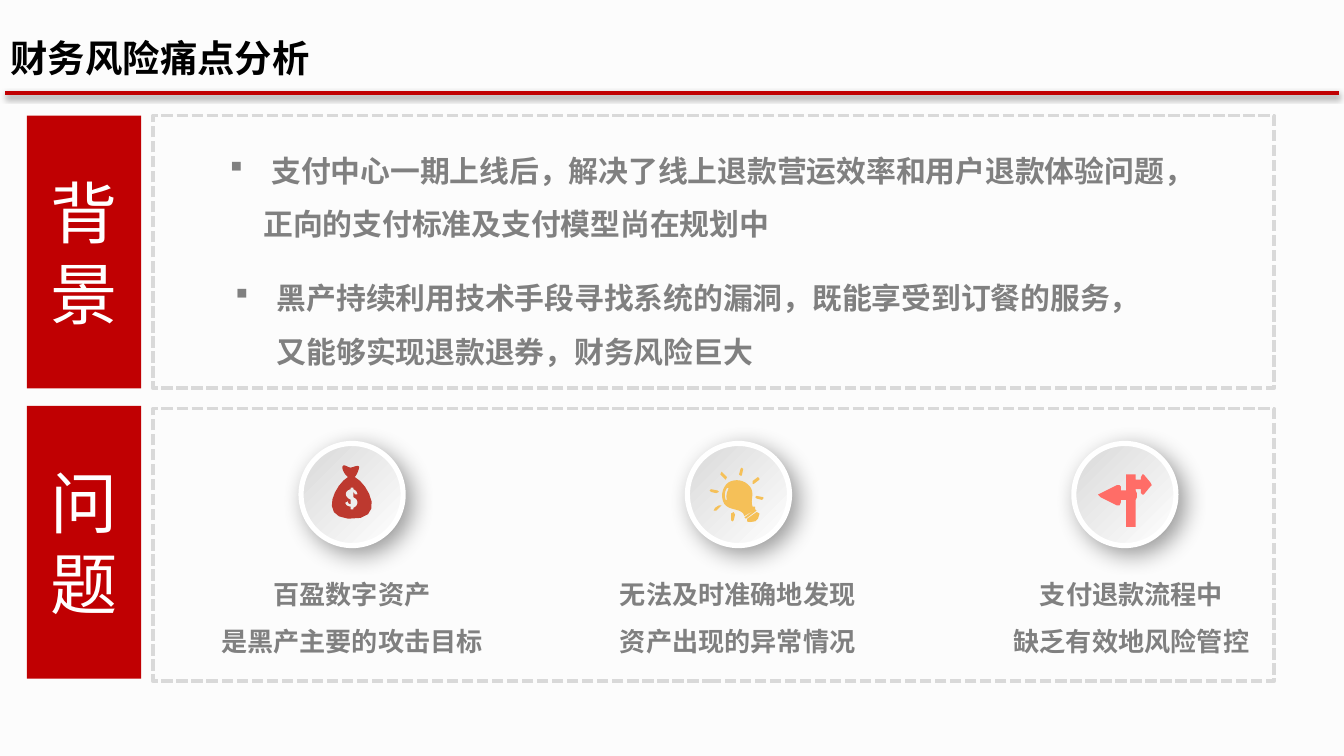
import pptx
import pptx.util
import pptx.dml.color
import pptx.enum.dml
import pptx.enum.shapes
import pptx.enum.text
import pptx.oxml
import pptx.oxml.ns

PX = 9144
SLIDE_SIZE = (1000, 562.5)
RED, GRAY, BORDER, WHITE = "C00002", "808080", "D9D9D9", "FFFFFF"
CJK = "Noto Sans CJK SC"

TITLE = "财务风险痛点分析"
SECTIONS = [
    {"label": ["背", "景"], "label_top": 86, "panel_top": 86},
    {"label": ["问题"], "label_top": 302, "panel_top": 304},
]
BACKGROUND = [
    {"box": (171, 100, 777, 81), "paragraphs": [
        ("支付中心一期上线后，解决了线上退款营运效率和用户退款体验问题，", True),
        ("正向的支付标准及支付模型尚在规划中", False)]},
    {"box": (175, 195, 689, 81), "paragraphs": [
        ("黑产持续利用技术手段寻找系统的漏洞，既能享受到订餐的服务，又能够实现退款退券，财务风险巨大", True)]},
]

MONEY_BAG = [
    [(264, 355), (266, 353, 268, 347, 267, 347), (266, 346, 262, 348, 261, 348),
     (259, 348, 256, 345, 255, 347), (254, 348, 256, 353, 259, 355),
     (250, 360, 237, 384, 259, 386), (289, 388, 274, 360, 264, 355)],
    [(266, 374), (266, 376, 265, 377, 263, 378), (263, 379), (261, 379), (261, 377),
     (259, 377, 257, 376, 257, 374), (259, 373), (259, 375, 260, 375, 261, 375), (261, 372),
     (256, 370, 256, 365, 261, 364), (261, 363), (263, 363), (263, 364),
     (265, 365, 266, 366, 266, 368), (264, 368), (264, 367, 263, 367, 263, 366),
     (263, 370), (265, 371, 266, 372, 266, 374)],
]
LIGHT_BULB = [
    [(562, 379), (563, 380), (555, 386), (554, 385)],
    [(563, 381), (556, 386), (556, 388), (558, 389, 560, 388, 562, 388),
     (564, 386), (565, 383), (565, 382)],
    [(562, 377), (562, 379), (554, 384), (553, 382), (549, 378, 543, 380, 539, 375),
     (536, 370, 537, 363, 542, 359), (547, 356, 554, 357, 558, 362),
     (562, 367, 558, 372, 560, 377)],
    [(542, 363), (541, 363), (539, 366, 539, 369, 540, 372), (541, 372),
     (540, 369, 541, 366, 542, 364)],
    [(540, 357), (541, 355), (538, 352), (537, 351), (536, 353), (539, 356)],
    [(533, 367), (535, 366), (534, 365), (529, 364), (528, 365), (529, 366)],
    [(537, 376), (535, 376), (532, 378), (531, 380), (533, 380), (536, 377)],
    [(544, 382), (544, 387), (545, 388), (546, 387), (547, 383), (546, 381)],
    [(563, 369), (562, 370), (563, 371), (567, 372), (568, 371), (568, 370)],
    [(564, 355), (560, 358), (560, 360), (561, 360), (565, 357), (565, 356)],
    [(552, 354), (553, 349), (552, 348), (551, 349), (550, 353), (551, 354)],
]
SIGNPOST = [
    [(856, 359), (851, 353), (850, 353), (849, 355), (849, 357), (845, 357), (845, 353),
     (838, 353), (838, 365), (834, 365), (834, 362), (833, 361), (831, 361), (819, 367),
     (817, 368), (819, 370), (831, 376), (833, 376), (834, 374), (834, 372), (838, 372),
     (838, 392), (845, 392), (845, 372), (846, 370), (846, 367), (845, 365), (845, 364),
     (849, 364), (849, 367), (850, 368), (851, 368), (856, 362), (857, 361)],
]
PROBLEMS = [
    {"lines": ["百盈数字资产", "是黑产主要的攻击目标"], "caption_center": 262,
     "icon": MONEY_BAG, "color": "BD392F"},
    {"lines": ["无法及时准确地发现", "资产出现的异常情况"], "caption_center": 549,
     "icon": LIGHT_BULB, "color": "F5C058"},
    {"lines": ["支付退款流程中", "缺乏有效地风险管控"], "caption_center": 842,
     "icon": SIGNPOST, "color": "FF6D67"},
]


def px(*values):
    return [round(value * PX) for value in values]


def rgb(color):
    return pptx.dml.color.RGBColor.from_string(color)


def element(xml):
    return pptx.oxml.parse_xml(xml.replace(" ", f" {pptx.oxml.ns.nsdecls('a')} ", 1))


def add_shadow(shape, alpha, blur, distance, angle):
    shape._element.spPr.append(element(
        f'<a:effectLst ><a:outerShdw blurRad="{round(blur * 12700)}" '
        f'dist="{round(distance * 12700)}" dir="{angle * 60000}" algn="ctr" rotWithShape="0">'
        f'<a:srgbClr val="000000"><a:alpha val="{alpha * 1000}"/></a:srgbClr>'
        '</a:outerShdw></a:effectLst>'))


def write(shape, lines, size, color, font=CJK, bold=False, align=None, spacing=None):
    frame = shape.text_frame
    frame.text = "\n".join(lines)
    for paragraph in frame.paragraphs:
        paragraph.alignment = align
        paragraph.line_spacing = spacing
        for run in paragraph.runs:
            run.font.size = pptx.util.Pt(size)
            run.font.bold = bold
            run.font.name = font
            run.font.color.rgb = rgb(color)
            run.font._element.append(element(f'<a:ea typeface="{CJK}"/>'))


def add_text(slide, box, lines, size, color, wrap=True, inset=None, **style):
    shape = slide.shapes.add_textbox(*px(*box))
    frame = shape.text_frame
    frame.word_wrap = wrap
    frame.auto_size = pptx.enum.text.MSO_AUTO_SIZE.SHAPE_TO_FIT_TEXT
    if inset is not None:
        frame.margin_left = frame.margin_right = inset
        frame.margin_top = frame.margin_bottom = inset
    write(shape, lines, size, color, **style)
    return shape


def indent(paragraph, bulleted):
    properties = paragraph._p.get_or_add_pPr()
    left, = px(31 if bulleted else 25)
    properties.set("marL", str(left))
    properties.set("indent", str(-left if bulleted else 0))
    if bulleted:
        properties.append(element('<a:buFont typeface="Wingdings" charset="2"/>'))
        properties.append(element('<a:buChar char="§"/>'))


def outline(contour, steps=8):
    points = [contour[0]]
    for part in contour[1:]:
        if len(part) == 2:
            points.append(part)
            continue
        corners = [points[-1], part[:2], part[2:4], part[4:]]
        for step in range(1, steps + 1):
            t = step / steps
            weights = ((1 - t) ** 3, 3 * t * (1 - t) ** 2, 3 * t * t * (1 - t), t ** 3)
            points.append(tuple(sum(w * corner[axis] for w, corner in zip(weights, corners))
                                for axis in (0, 1)))
    return [tuple(px(*point)) for point in points]


def add_icon(shapes, contours, color):
    first, *others = [outline(contour) for contour in contours]
    builder = shapes.build_freeform(*first[0], scale=1.0)
    builder.add_line_segments(first[1:], close=True)
    for points in others:
        builder.move_to(*points[0])
        builder.add_line_segments(points[1:], close=True)
    icon = builder.convert_to_shape()
    icon.shadow.inherit = False
    icon.fill.solid()
    icon.fill.fore_color.rgb = rgb(color)
    icon.line.fill.background()


def add_disc(shapes, center):
    disc = shapes.add_shape(pptx.enum.shapes.MSO_SHAPE.OVAL, *px(center - 38, 330, 76, 76))
    disc.fill.gradient()
    disc.fill.gradient_angle = 315
    for stop, color, position in zip(disc.fill.gradient_stops, (BORDER, WHITE), (0, 1)):
        stop.color.rgb = rgb(color)
        stop.position = position
    disc.line.color.rgb = rgb(WHITE)
    disc.line.width = pptx.util.Pt(2.75)
    add_shadow(disc, 40, 13, 5, 45)


def add_section(slide, section):
    rectangle = pptx.enum.shapes.MSO_SHAPE.RECTANGLE
    panel = slide.shapes.add_shape(rectangle, *px(114, section["panel_top"], 834, 203))
    panel.shadow.inherit = False
    panel.fill.background()
    panel.line.color.rgb = rgb(BORDER)
    panel.line.width = pptx.util.Pt(2)
    panel.line.dash_style = pptx.enum.dml.MSO_LINE.SQUARE_DOT
    label = slide.shapes.add_shape(rectangle, *px(20, section["label_top"], 85, 203))
    label.shadow.inherit = False
    label.fill.solid()
    label.fill.fore_color.rgb = rgb(RED)
    label.line.fill.background()
    label.text_frame.word_wrap = True
    label.text_frame.vertical_anchor = pptx.enum.text.MSO_ANCHOR.MIDDLE
    write(label, section["label"], 36, WHITE, font="Calibri",
          align=pptx.enum.text.PP_ALIGN.CENTER)


def main():
    presentation = pptx.Presentation()
    presentation.slide_width, presentation.slide_height = px(*SLIDE_SIZE)
    slide = presentation.slides.add_slide(presentation.slide_layouts[6])
    slide.background.fill.solid()
    slide.background.fill.fore_color.rgb = rgb("FCFCFC")

    rule = slide.shapes.add_connector(pptx.enum.shapes.MSO_CONNECTOR.STRAIGHT,
                                      *px(4, 69, 996, 69))
    rule.line.color.rgb = rgb(RED)
    rule.line.width = pptx.util.Pt(2)
    add_shadow(rule, 38, 3.1, 1.6, 90)
    add_text(slide, (-2, 21, 901, 44), [TITLE], 20, "000000", bold=True)

    for section in SECTIONS:
        add_section(slide, section)
    for item in BACKGROUND:
        lines = [text for text, bulleted in item["paragraphs"]]
        shape = add_text(slide, item["box"], lines, 16, GRAY, inset=0, bold=True, spacing=1.5)
        for paragraph, (text, bulleted) in zip(shape.text_frame.paragraphs, item["paragraphs"]):
            indent(paragraph, bulleted)
    for index, problem in enumerate(PROBLEMS):
        group = slide.shapes.add_group_shape()
        add_disc(group.shapes, 262 + 287.5 * index)
        add_icon(group.shapes, problem["icon"], problem["color"])
        width = 20 + 20 * max(map(len, problem["lines"]))
        add_text(slide, (problem["caption_center"] - width / 2, 414, width, 81),
                 problem["lines"], 14, GRAY, wrap=False, font="Calibri", bold=True,
                 align=pptx.enum.text.PP_ALIGN.CENTER, spacing=1.5)
    presentation.save("out.pptx")


if __name__ == "__main__":
    main()
